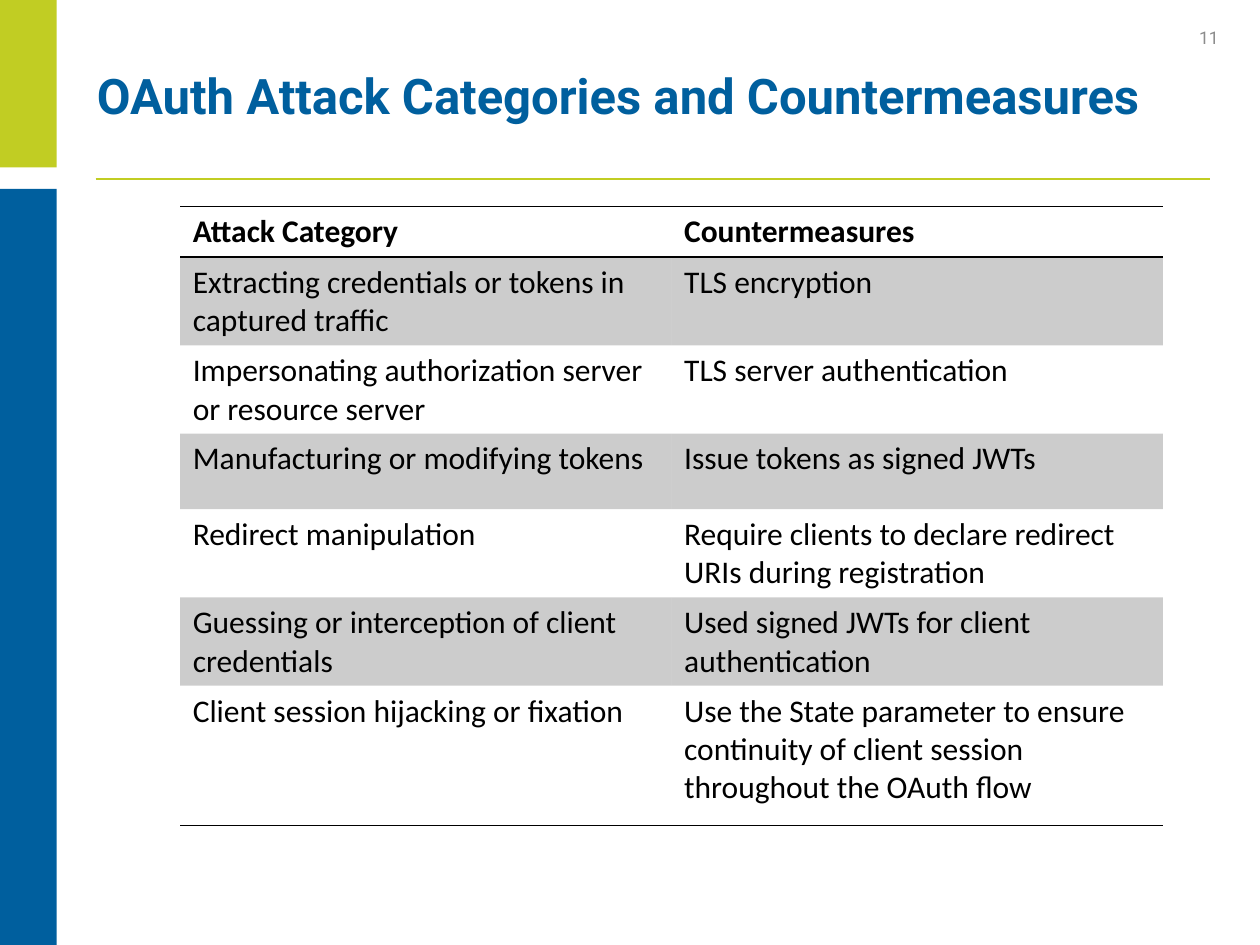
from lxml.etree import SubElement
from pptx import Presentation
from pptx.dml.color import RGBColor
from pptx.enum.shapes import MSO_CONNECTOR, MSO_SHAPE
from pptx.enum.text import MSO_ANCHOR, PP_ALIGN
from pptx.oxml.ns import qn
from pptx.util import Inches, Pt

LIME = RGBColor(0xC1, 0xCD, 0x23)
BLUE = RGBColor(0x00, 0x5F, 0x9E)
GRAY = RGBColor(0x8C, 0x8C, 0x8C)
BLACK = RGBColor(0x00, 0x00, 0x00)

ROWS = [
    ("Attack Category", "Countermeasures"),
    ("Extracting credentials or tokens in captured traffic", "TLS encryption"),
    ("Impersonating authorization server or resource server", "TLS server authentication"),
    ("Manufacturing or modifying tokens", "Issue tokens as signed JWTs"),
    ("Redirect manipulation", "Require clients to declare redirect URIs during registration"),
    ("Guessing or interception of client credentials", "Used signed JWTs for client authentication"),
    ("Client session hijacking or fixation",
     "Use the State parameter to ensure continuity of client session throughout the OAuth flow"),
]
ROW_HEIGHTS = [0.35] + [0.6] * 5 + [1.11]
COLUMN_WIDTH = 3.9
RULED_EDGES = (0, 1, len(ROWS))  # above the header, below it, below the last row


def add_run(paragraph, text, font_name, size, color, bold=False):
    run = paragraph.add_run()
    run.text = text
    run.font.name = font_name
    run.font.size = Pt(size)
    run.font.color.rgb = color
    run.font.bold = bold


def set_border(cell, side, visible):
    """Draw a 1 pt black border on one side (lnL, lnR, lnT, lnB), or clear it."""
    border = SubElement(cell._tc.get_or_add_tcPr(), qn(f"a:{side}"), w=str(Pt(1)))
    if visible:
        fill = SubElement(border, qn("a:solidFill"))
        SubElement(fill, qn("a:srgbClr"), val=str(BLACK))
    else:
        SubElement(border, qn("a:noFill"))


presentation = Presentation()
presentation.slide_width = Inches(10)
presentation.slide_height = Inches(7.5)
slide = presentation.slides.add_slide(presentation.slide_layouts[6])

# Side bars
for top, height, color in ((0, 1.33, LIME), (1.5, 6, BLUE)):
    bar = slide.shapes.add_shape(
        MSO_SHAPE.RECTANGLE, 0, Inches(top), Inches(0.45), Inches(height))
    bar.shadow.inherit = False
    bar.fill.solid()
    bar.fill.fore_color.rgb = color
    bar.line.fill.background()

# Rule under the title
rule = slide.shapes.add_connector(
    MSO_CONNECTOR.STRAIGHT, Inches(0.76), Inches(1.42), Inches(9.6), Inches(1.42))
rule.line.color.rgb = LIME
rule.line.width = Pt(1)
SubElement(rule._element.spPr, qn("a:effectLst"))

# Slide number and title
number_box = slide.shapes.add_textbox(Inches(9.23), Inches(0.23), Inches(0.54), Inches(0.2))
number_box.text_frame.word_wrap = True
number_box.text_frame.vertical_anchor = MSO_ANCHOR.BOTTOM
number = number_box.text_frame.paragraphs[0]
number.alignment = PP_ALIGN.RIGHT
add_run(number, "11", "Roboto", 10, GRAY)

title_box = slide.shapes.add_textbox(Inches(0.67), Inches(0.25), Inches(9), Inches(1.03))
title_box.text_frame.word_wrap = True
title_box.text_frame.vertical_anchor = MSO_ANCHOR.MIDDLE
title = title_box.text_frame.paragraphs[0]
title.line_spacing = Pt(32)
add_run(title, "OAuth Attack Categories and Countermeasures", "Roboto", 28, BLUE, bold=True)

# Attack table
table = slide.shapes.add_table(
    len(ROWS), 2, Inches(1.43), Inches(1.64),
    Inches(2 * COLUMN_WIDTH), Inches(sum(ROW_HEIGHTS))).table
table.first_row = False
table.horz_banding = False
for column in table.columns:
    column.width = Inches(COLUMN_WIDTH)
for row_index, (texts, height) in enumerate(zip(ROWS, ROW_HEIGHTS)):
    table.rows[row_index].height = Inches(height)
    for cell, text in zip(table.rows[row_index].cells, texts):
        add_run(cell.text_frame.paragraphs[0], text, "Calibri", 18, BLACK, bold=row_index == 0)
        set_border(cell, "lnL", False)
        set_border(cell, "lnR", False)
        set_border(cell, "lnT", row_index in RULED_EDGES)
        set_border(cell, "lnB", row_index + 1 in RULED_EDGES)
        if row_index % 2:
            cell.fill.solid()
            cell.fill.fore_color.rgb = BLACK
            band_color = cell._tc.tcPr.find(qn("a:solidFill")).find(qn("a:srgbClr"))
            SubElement(band_color, qn("a:alpha"), val="20000")
        else:
            cell.fill.background()

presentation.save("out.pptx")
